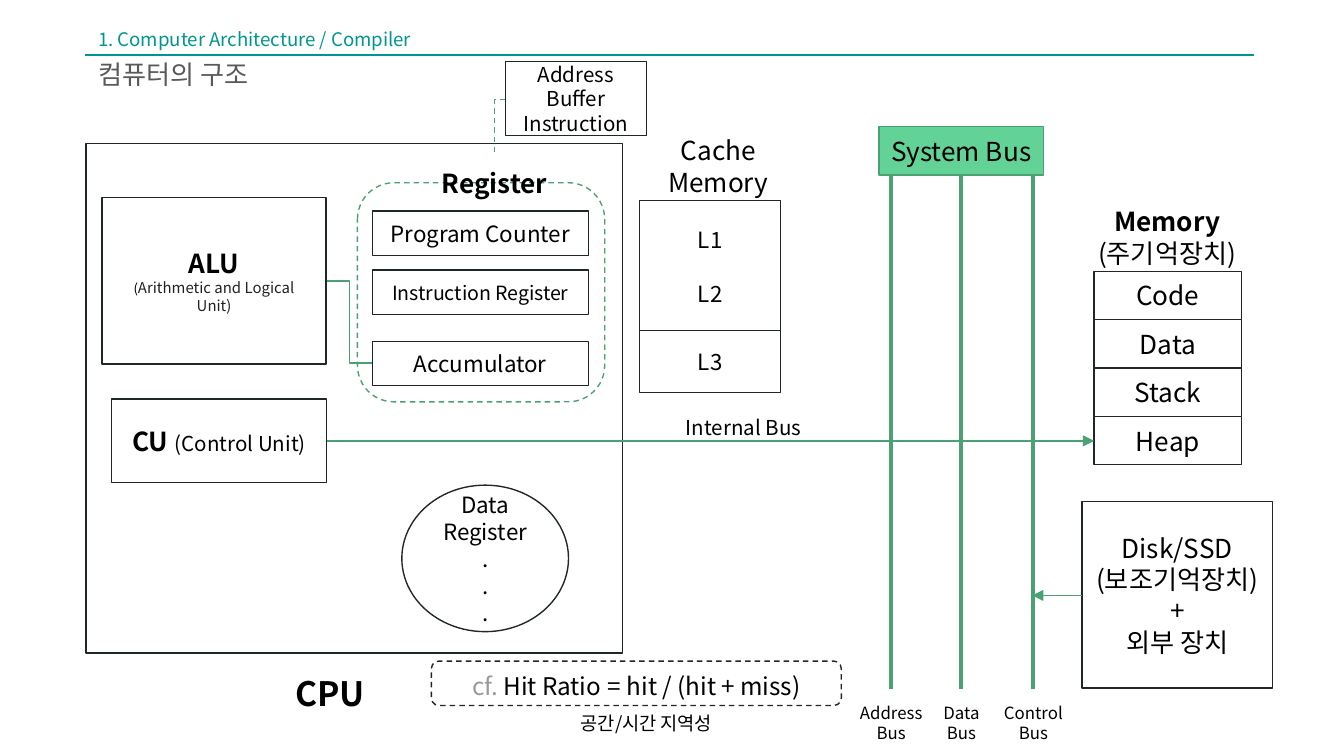
from lxml.etree import SubElement
from pptx import Presentation
from pptx.dml.color import RGBColor
from pptx.enum.dml import MSO_LINE
from pptx.enum.shapes import MSO_CONNECTOR, MSO_SHAPE
from pptx.enum.text import MSO_ANCHOR, MSO_AUTO_SIZE, PP_ALIGN
from pptx.oxml.ns import qn
from pptx.util import Pt

FONT = "Noto Sans CJK KR"
BLACK, WHITE, INK = "000000", "FFFFFF", "202729"
GREEN, MINT, TEAL = "4BA173", "63D297", "009591"


def color(code):
    """Turn a hex string into a colour."""
    return RGBColor.from_string(code)


def write(box, text, *, size=14, bold=False, ink=BLACK, align=PP_ALIGN.CENTER,
          gap=0, spacing=None, joined=False):
    """Add the lines of text to a box, or continue its last paragraph."""
    frame = box.text_frame
    for line in text.split("\n"):
        para = frame.paragraphs[-1]
        if para.runs and not joined:
            para = frame.add_paragraph()
            para.space_before = Pt(gap)
        elif not para.runs:
            para.space_before = Pt(0)
        para.alignment = align
        if spacing:
            para.line_spacing = spacing
        span = para.add_run()
        span.text = line
        font = span.font
        font.name, font.size, font.bold = FONT, Pt(size), bold
        font.color.rgb = color(ink)
        SubElement(font._element, qn("a:ea")).set("typeface", FONT)


def set_insets(box, anchor, side=7.2):
    """Give a box wrapping text, an anchor and insets."""
    frame = box.text_frame
    frame.word_wrap = True
    frame.vertical_anchor = anchor
    frame.margin_left = frame.margin_right = Pt(side)
    frame.margin_top = frame.margin_bottom = Pt(7.2)


def add_box(page, left, top, width, height, text="", *, kind=MSO_SHAPE.RECTANGLE,
            fill=WHITE, line=INK, dashed=False, side=7.2, **style):
    """Draw an outlined shape with centred text."""
    box = page.shapes.add_shape(kind, Pt(left), Pt(top), Pt(width), Pt(height))
    box.shadow.inherit = False
    if fill:
        box.fill.solid()
        box.fill.fore_color.rgb = color(fill)
    else:
        box.fill.background()
    box.line.color.rgb = color(line)
    box.line.width = Pt(0.75)
    if dashed:
        box.line.dash_style = MSO_LINE.DASH
    set_insets(box, MSO_ANCHOR.MIDDLE, side)
    if text:
        write(box, text, **style)
    return box


def add_label(page, left, top, width, height, text, **style):
    """Place free text."""
    box = page.shapes.add_textbox(Pt(left), Pt(top), Pt(width), Pt(height))
    set_insets(box, MSO_ANCHOR.TOP)
    write(box, text, **style)
    return box


def add_link(page, start, end, *, kind=MSO_CONNECTOR.STRAIGHT, line=GREEN,
             width=0.75, arrow=False, dashed=False, corner=False):
    """Connect two points with a straight or bent line."""
    link = page.shapes.add_connector(kind, *(Pt(value) for value in start + end))
    link.line.color.rgb = color(line)
    link.line.width = Pt(width)
    if dashed:
        link.line.dash_style = MSO_LINE.DASH
    properties = link._element.spPr
    if arrow:
        SubElement(properties.find(qn("a:ln")), qn("a:tailEnd")).set("type", "triangle")
    if corner:
        properties.find(qn("a:prstGeom")).set("prst", "bentConnector2")
    SubElement(properties, qn("a:effectLst"))


def fill_placeholder(box, top, height, text, **style):
    """Move a heading placeholder and write its text."""
    box.left, box.top, box.width, box.height = Pt(45.4), Pt(top), Pt(514), Pt(height)
    frame = box.text_frame
    frame.auto_size = MSO_AUTO_SIZE.NONE
    frame.word_wrap = True
    frame.vertical_anchor = MSO_ANCHOR.TOP
    properties = frame.paragraphs[0]._p.get_or_add_pPr()
    properties.set("marL", "0")
    properties.set("indent", "0")
    SubElement(properties, qn("a:buNone"))
    write(box, text, align=PP_ALIGN.LEFT, spacing=0.9, **style)


def add_heading(page):
    """Write the title, the subtitle and the rule between them."""
    title, subtitle = page.placeholders
    fill_placeholder(title, 12.6, 17.3, "1. Computer Architecture / Compiler",
                     size=10, ink=TEAL)
    fill_placeholder(subtitle, 29.5, 23.8, "컴퓨터의 구조", ink="595959")
    add_link(page, (45.4, 29.5), (671.8, 29.5), line=TEAL)


def add_system_bus(page):
    """Draw the three buses under their header."""
    for name, center in (("Address", 477.4), ("Data", 515), ("Control", 553.6)):
        add_link(page, (center, 93.6), (center, 369.4), width=2.25)
        add_label(page, center - 31.7, 369.4, 63.4, 33.8, name + "\nBus", size=9)
    add_box(page, 471, 67.7, 88, 26, "System Bus", fill=MINT, line=GREEN, side=1)


def add_memory(page):
    """Draw main memory and secondary storage."""
    for row, name in enumerate(("Code", "Data", "Stack", "Heap")):
        add_box(page, 586.1, 145.4 + 25.9 * row, 79.2, 25.9, name)
    memory = add_label(page, 576, 103, 98.6, 44.6, "Memory", bold=True)
    write(memory, "(주기억장치)")
    add_box(page, 579.6, 268.6, 102.2, 100, "Disk/SSD\n(보조기억장치)\n+\n외부 장치")


def add_processor(page):
    """Draw the CPU with its units and registers."""
    add_box(page, 46.1, 77, 287.3, 272.9)
    alu = add_box(page, 54.7, 105.8, 120, 89.3, "ALU", bold=True)
    write(alu, "(", size=7)
    write(alu, "Arithmetic and Logical Unit)", size=8, ink="202124", joined=True)
    control = add_box(page, 59.8, 213.8, 115.2, 44.6, "CU ", bold=True)
    write(control, "(Control Unit)", size=11, joined=True)
    add_box(page, 215.3, 259.9, 89.3, 78.5, "Data Register\n.\n.\n.",
            kind=MSO_SHAPE.OVAL, size=12)
    add_box(page, 191.5, 97.9, 132.5, 117.4, kind=MSO_SHAPE.ROUNDED_RECTANGLE,
            fill=None, line=GREEN, dashed=True)
    add_link(page, (175, 150.5), (199.4, 194.4), kind=MSO_CONNECTOR.ELBOW)
    add_label(page, 226.1, 82.5, 77.8, 31.7, "Register", bold=True)
    for name, top, size in (("Program Counter", 113, 12),
                            ("Instruction Register", 144.7, 10.5),
                            ("Accumulator", 182.9, 12)):
        add_box(page, 199.4, top, 115.9, 23.8, name, size=size)
    add_label(page, 129.6, 353.5, 94.3, 33.8, "CPU", size=18, bold=True)


def add_cache(page):
    """Draw the cache levels and the hit ratio note."""
    add_box(page, 342.7, 107.3, 75.6, 70.6, "L1\nL2", size=12, gap=14.5)
    add_box(page, 342.7, 177.1, 75.6, 33.1, "L3", size=12)
    add_label(page, 349.2, 65, 71.3, 48.2, "Cache\nMemory")
    ratio = add_box(page, 231.1, 354.2, 219.6, 23.8, dashed=True,
                    kind=MSO_SHAPE.ROUNDED_RECTANGLE)
    write(ratio, "cf. ", size=13, ink="999999")
    write(ratio, "Hit Ratio", size=13, joined=True)
    write(ratio, " ", size=16, joined=True)
    write(ratio, "= hit / (hit + miss)", size=13, joined=True)
    add_label(page, 277.2, 375.1, 138.2, 24.5, "공간/시간 지역성", size=10)


def add_transfers(page):
    """Draw the arrows between units and the address buffer."""
    add_link(page, (579.6, 319), (553, 319), arrow=True)
    add_label(page, 356.4, 215.6, 84.2, 25.9, "Internal Bus", size=11)
    add_link(page, (175, 236.2), (586.1, 236.2), arrow=True)
    add_box(page, 270.7, 33.1, 75.6, 39.6, "Address\nBuffer\nInstruction", size=11)
    add_link(page, (270.7, 53.3), (265, 82.8), kind=MSO_CONNECTOR.ELBOW,
             dashed=True, corner=True)


def main():
    """Build and save the slide."""
    deck = Presentation()
    deck.slide_width, deck.slide_height = Pt(720), Pt(405)
    page = deck.slides.add_slide(deck.slide_layouts[1])
    add_heading(page)
    add_system_bus(page)
    add_memory(page)
    add_processor(page)
    add_cache(page)
    add_transfers(page)
    deck.save("out.pptx")


if __name__ == "__main__":
    main()
